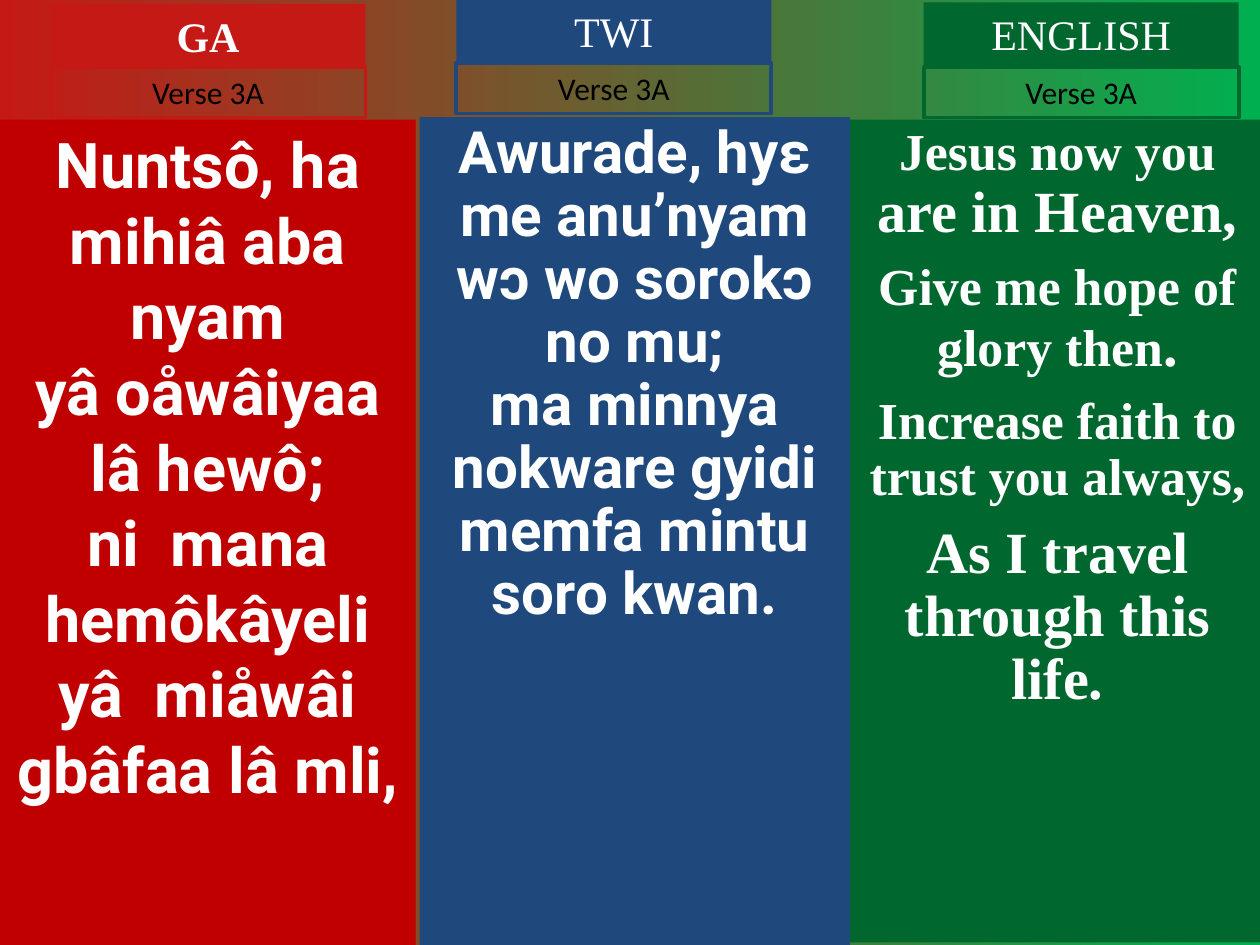
from pptx import Presentation
from pptx.dml.color import RGBColor
from pptx.enum.shapes import MSO_SHAPE
from pptx.enum.text import MSO_ANCHOR, MSO_AUTO_SIZE, PP_ALIGN
from pptx.util import Cm, Pt

COLORS = {
    "red": "C51915", "dark red": "C00000", "blue": "1F497D",
    "green": "00682F", "bright green": "00B050",
    "white": "FFFFFF", "black": "000000",
}
SERIF = "Times New Roman"
VERSE = "Verse 3A"
SMALL, LARGE = 29.6, 33.3

# One column per language; boxes are (left, top, width, height) in cm,
# lines are paragraphs made of (text, size) runs
COLUMNS = [
    {
        "title": "GA", "bold": True, "color": "red", "panel color": "dark red",
        "label": (1.02, 0.08), "verse top": 1.35,
        "panel": (0, 2.41, 8.38, 16.64),
        "font": "Roboto", "spacing": 1.0, "gap": 0,
        "lines": [
            [("Nuntsô, ha mihiâ aba nyam", 36)],
            [("yâ oåwâiyaa lâ hewô;", 36)],
            [("ni  mana hemôkâyeli", 36)],
            [("yâ  miåwâi gbâfaa lâ mli,", 36)],
        ],
    },
    {
        "title": "TWI", "bold": False, "color": "blue", "panel color": "blue",
        "label": (9.2, -0.02), "verse top": 1.27,
        "panel": (8.46, 2.36, 8.68, 16.69),
        "font": "Roboto", "spacing": 0.9, "gap": 0,
        "lines": [
            [("Awurade, hyɛ me anu’nyam wɔ wo sorokɔ no mu;", LARGE)],
            [("ma minnya nokware gyidi memfa mintu soro kwan.", LARGE)],
        ],
    },
    {
        "title": "ENGLISH", "bold": False, "color": "green", "panel color": "green",
        "label": (18.62, 0.05), "verse top": 1.35,
        "panel": (17.14, 2.41, 8.36, 16.59),
        "font": SERIF, "spacing": 0.9, "gap": 9,
        "lines": [
            [("Jesus now you ", SMALL), ("are in Heaven,", LARGE)],
            [("Give me hope of glory then", SMALL), (".", LARGE)],
            [("Increase faith to trust you always,", SMALL)],
            [("As I travel through this life.", LARGE)],
        ],
    },
]
LABEL_WIDTH, TITLE_HEIGHT, VERSE_HEIGHT = 6.35, 1.27, 1.02


def color(name):
    return RGBColor.from_string(COLORS[name])


def add_box(slide, box, lines, font, text_color, bold=False,
            fill=None, line=None, spacing=1.0, gap=0, grow=False):
    shape = slide.shapes.add_shape(MSO_SHAPE.RECTANGLE, *map(Cm, box))
    shape.shadow.inherit = False
    if fill:
        shape.fill.solid()
        shape.fill.fore_color.rgb = color(fill)
    else:
        shape.fill.background()
    if line:
        shape.line.color.rgb = color(line)
        shape.line.width = Pt(2.25)
    else:
        shape.line.fill.background()

    text_frame = shape.text_frame
    text_frame.word_wrap = True
    text_frame.vertical_anchor = MSO_ANCHOR.TOP
    text_frame.auto_size = MSO_AUTO_SIZE.SHAPE_TO_FIT_TEXT if grow else MSO_AUTO_SIZE.NONE
    for index, runs in enumerate(lines):
        paragraph = text_frame.add_paragraph() if index else text_frame.paragraphs[0]
        paragraph.alignment = PP_ALIGN.CENTER
        paragraph.line_spacing = spacing
        paragraph.space_before = Pt(gap if index else 0)
        for text, size in runs:
            run = paragraph.add_run()
            run.text = text
            run.font.name = font
            run.font.size = Pt(size)
            run.font.bold = bold
            run.font.color.rgb = color(text_color)


presentation = Presentation()
presentation.slide_width, presentation.slide_height = Cm(25.4), Cm(19.05)
slide = presentation.slides.add_slide(presentation.slide_layouts[6])

# Background running from red to green
background = slide.background.fill
background.gradient()
background.gradient_angle = 0
for stop, name, position in zip(background.gradient_stops, ("red", "bright green"), (0, 1)):
    stop.color.rgb = color(name)
    stop.position = position

for column in COLUMNS:
    left, top = column["label"]
    # Lyrics panel
    add_box(slide, column["panel"], column["lines"], column["font"], "white", bold=True,
            fill=column["panel color"], spacing=column["spacing"], gap=column["gap"])
    # Language title
    add_box(slide, (left, top, LABEL_WIDTH, TITLE_HEIGHT), [[(column["title"], 24)]],
            SERIF, "white", bold=column["bold"], fill=column["color"], grow=True)
    # Verse label
    add_box(slide, (left, column["verse top"], LABEL_WIDTH, VERSE_HEIGHT), [[(VERSE, 18)]],
            "Calibri", "black", line=column["color"], grow=True)

presentation.save("out.pptx")
